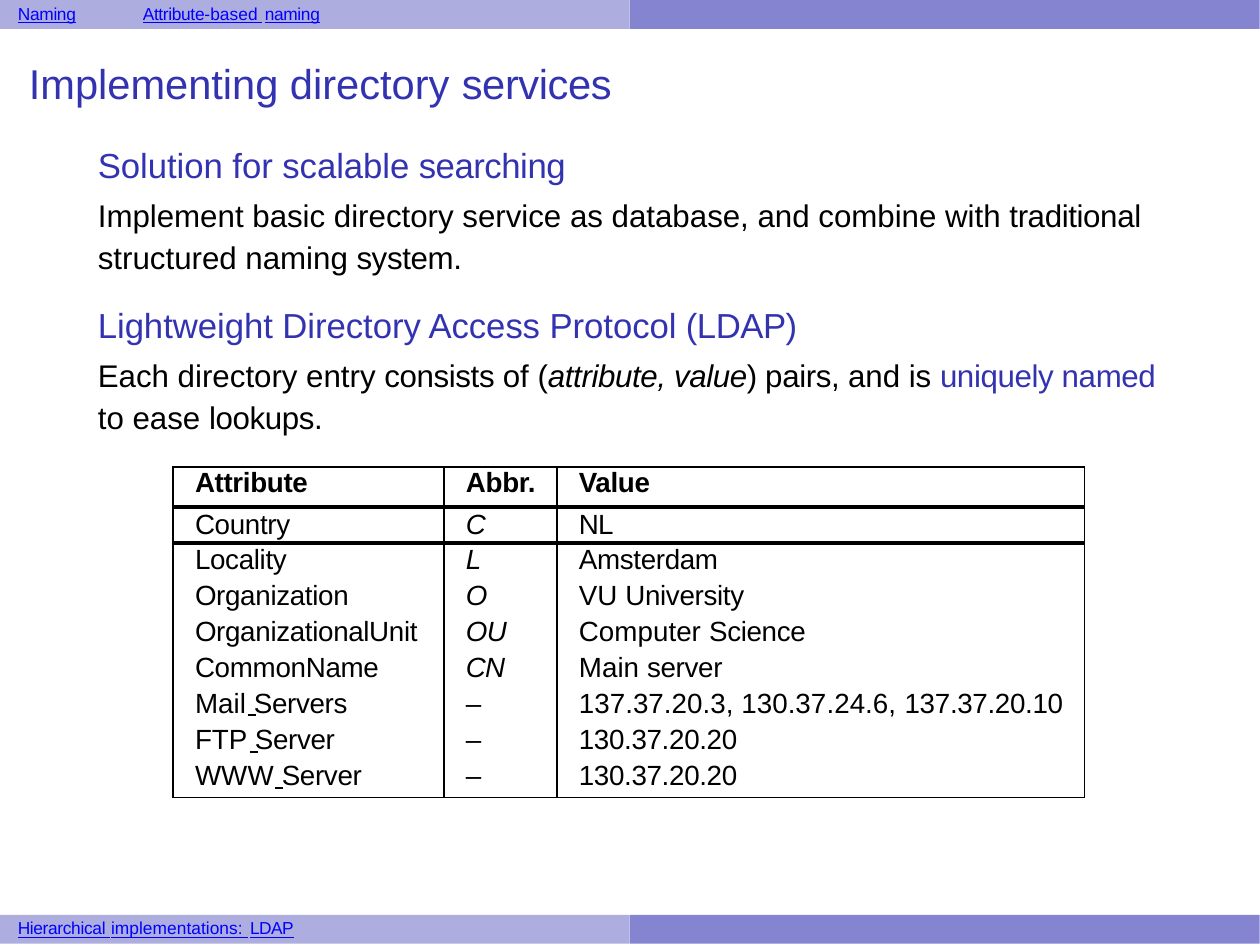
"""Build the slide on implementing directory services with LDAP."""
from dataclasses import dataclass

from lxml import etree
from pptx import Presentation
from pptx import util as u
from pptx.dml.color import RGBColor
from pptx.enum import shapes, text
from pptx.oxml import ns

PX = 914400 / 250
PAGE_WIDTH, PAGE_HEIGHT = u.Pt(363), u.Pt(272.5)
BAND_WIDTH, BAND_HEIGHT, FOOTER_TOP = 630, 29, 915
TIGHT, TIGHTER, LOOSE = -10, -20, 60


@dataclass(frozen=True)
class Theme:
    font: str = "Arial"
    ink: str = "000000"
    accent: str = "3333B2"
    link: str = "0000FF"
    light_band: str = "ADADE0"
    dark_band: str = "8484D1"
    title_size: int = 12
    heading_size: int = 10
    body_size: int = 9
    table_size: int = 8
    link_size: int = 5


THEME = Theme()


@dataclass(frozen=True)
class Span:
    text: str
    tracking: int = 0
    italic: bool = False
    color: str = THEME.ink


@dataclass(frozen=True)
class Block:
    spans: list[Span]
    size: int
    before: float = 0
    line: float = 1.0


@dataclass(frozen=True)
class Row:
    cells: tuple[str, str, str]
    height: int = 36
    line: float = 9.4
    top: float = 0
    bottom: float = 0
    header: bool = False


def px(length: int) -> u.Emu:
    return u.Emu(round(length * PX))


def tight_end(words: str, color: str = THEME.ink, italic: bool = False) -> list[Span]:
    """Split off the last word and set it slightly tighter."""
    head, gap, last = words.rpartition(" ")
    spans = [Span(head + gap, 0, italic, color)] if head else []
    tracking = TIGHTER if last.isupper() and len(last) == 2 else TIGHT
    return spans + [Span(last, tracking, italic, color)]


def add_span(para, words: str, *, size: float, color: str, bold: bool = False,
             italic: bool = False, underline: bool = False, tracking: int = 0) -> None:
    span = para.add_run()
    span.text = words
    font = span.font
    font.name, font.size = THEME.font, u.Pt(size)
    font.bold, font.italic, font.underline = bold, italic, underline
    font.color.rgb = RGBColor.from_string(color)
    if tracking:
        span._r.get_or_add_rPr().set("spc", str(tracking))


def format_para(para, *, margin: int = 3, before: float = 0, line=1.0, tab: int = 0,
                plain: bool = False) -> None:
    properties = para._p.get_or_add_pPr()
    properties.set("marL", str(px(margin)))
    properties.set("indent", "0")
    if plain:
        etree.SubElement(properties, ns.qn("a:buNone"))
    if tab:
        tabs = etree.SubElement(properties, ns.qn("a:tabLst"))
        etree.SubElement(tabs, ns.qn("a:tab"), pos=str(px(tab)), algn="l")
    para.alignment = text.PP_ALIGN.LEFT
    para.space_before, para.space_after = u.Pt(before), u.Pt(0)
    para.line_spacing = line


def place(box, left: int, top: int, width: int, height: int, inset: int):
    """Move a text shape, set its insets and return its text frame."""
    box.left, box.top, box.width, box.height = map(px, (left, top, width, height))
    frame = box.text_frame
    frame.word_wrap = True
    frame.auto_size = text.MSO_AUTO_SIZE.NONE
    frame.vertical_anchor = text.MSO_ANCHOR.TOP
    frame.margin_left = frame.margin_right = frame.margin_bottom = 0
    frame.margin_top = px(inset)
    return frame


def write_blocks(frame, blocks: list[Block]) -> None:
    for index, block in enumerate(blocks):
        para = frame.add_paragraph() if index else frame.paragraphs[0]
        format_para(para, before=block.before, line=block.line, plain=True)
        for span in block.spans:
            add_span(para, span.text, size=block.size, color=span.color,
                     italic=span.italic, tracking=span.tracking)


def add_band(page, left: int, top: int, color: str) -> None:
    band = page.shapes.add_shape(shapes.MSO_SHAPE.RECTANGLE, px(left), px(top),
                                 px(BAND_WIDTH), px(BAND_HEIGHT))
    band.shadow.inherit = False
    band.fill.solid()
    band.fill.fore_color.rgb = RGBColor.from_string(color)
    band.line.fill.background()


def add_links(page, top: int, width: int, spans: list[Span], tab: int = 0) -> None:
    box = page.shapes.add_textbox(0, 0, 0, 0)
    para = place(box, 15, top, width, 27, 3).paragraphs[0]
    format_para(para, tab=tab)
    for span in spans:
        is_link = span.text != "\t"
        add_span(para, span.text, size=THEME.link_size, underline=is_link,
                 color=THEME.link if is_link else THEME.ink, tracking=span.tracking)


def set_borders(cell, **widths: float) -> None:
    properties = cell._tc.get_or_add_tcPr()
    for side, width in widths.items():
        line = etree.SubElement(properties, ns.qn(f"a:ln{side}"), w=str(u.Pt(width)))
        if width:
            fill = etree.SubElement(line, ns.qn("a:solidFill"))
            etree.SubElement(fill, ns.qn("a:srgbClr"), val=THEME.ink)
        else:
            etree.SubElement(line, ns.qn("a:noFill"))


def add_entry_table(page, rows: list[Row], widths: tuple[int, ...]) -> None:
    table = page.shapes.add_table(len(rows), len(widths), px(173), px(467), px(sum(widths)),
                                  px(sum(row.height for row in rows))).table
    table.first_row = table.horz_banding = False
    for column, width in zip(table.columns, widths):
        column.width = px(width)
    for row_index, row in enumerate(rows):
        table.rows[row_index].height = px(row.height)
        for column_index, words in enumerate(row.cells):
            cell = table.cell(row_index, column_index)
            cell.margin_left = cell.margin_right = cell.margin_top = cell.margin_bottom = 0
            set_borders(cell, L=0.5, R=0.5, T=row.top, B=row.bottom)
            cell.fill.background()
            para = cell.text_frame.paragraphs[0]
            format_para(para, margin=22, line=u.Pt(row.line))
            italic = column_index == 1 and words.isalpha()
            for span in tight_end(words, italic=italic):
                add_span(para, span.text, size=THEME.table_size, color=span.color,
                         bold=row.header, italic=span.italic, tracking=span.tracking)


def add_underscore(page, left: int, top: int) -> None:
    line = page.shapes.add_connector(shapes.MSO_CONNECTOR.STRAIGHT, px(left), px(top),
                                     px(left + 8), px(top))
    line.line.width = u.Pt(0.4)
    line.line.color.rgb = RGBColor.from_string(THEME.ink)
    etree.SubElement(line._element.spPr, ns.qn("a:effectLst"))


HEADER = [Span("Naming", TIGHT), Span("\t"), Span("Attribute-", TIGHT), Span("based"),
          Span(" ", LOOSE), Span("naming", TIGHT)]
FOOTER = [Span("Hierarchical", TIGHT), Span(" ", 10), Span("implementations:"),
          Span(" ", LOOSE), Span("LDAP", TIGHTER)]
BODY = [
    Block(tight_end("Solution for scalable searching", THEME.accent), THEME.heading_size),
    Block([Span("Implement basic directory service as database, and combine with "),
           Span("traditional ", TIGHT), Span("structured naming "), Span("system.", TIGHT)],
          THEME.body_size, 1.8, 1.12),
    Block(tight_end("Lightweight Directory Access Protocol (LDAP)", THEME.accent),
          THEME.heading_size, 8),
    Block([Span("Each directory entry "), Span("consists ", TIGHT), Span("of "),
           Span("(", TIGHT), Span("attribute, value", TIGHT, italic=True),
           Span(") pairs, ", TIGHT), Span("and is "),
           Span("uniquely named ", TIGHT, color=THEME.accent),
           Span("to ease "), Span("lookups.", TIGHT)], THEME.body_size, 1.9, 1.12),
]
ENTRIES = [
    Row(("Attribute", "Abbr.", "Value"), 40, 9.1, 0.5, 1.5, header=True),
    Row(("Country", "C", "NL"), 36, 9.6, 1.5, 1.5),
    Row(("Locality", "L", "Amsterdam"), top=1.5),
    Row(("Organization", "O", "VU University")),
    Row(("OrganizationalUnit", "OU", "Computer Science")),
    Row(("CommonName", "CN", "Main server")),
    Row(("Mail Servers", "–", "137.37.20.3, 130.37.24.6, 137.37.20.10")),
    Row(("FTP Server", "–", "130.37.20.20")),
    Row(("WWW Server", "–", "130.37.20.20"), 39, bottom=0.5),
]


def main() -> None:
    deck = Presentation()
    deck.slide_width, deck.slide_height = PAGE_WIDTH, PAGE_HEIGHT
    page = deck.slides.add_slide(deck.slide_layouts[1])
    for top in (0, FOOTER_TOP):
        add_band(page, 0, top, THEME.light_band)
        add_band(page, BAND_WIDTH, top, THEME.dark_band)
    add_links(page, 0, 1230, HEADER, tab=1048)
    add_links(page, FOOTER_TOP, 285, FOOTER)
    title = place(page.shapes.title, 26, 55, 1110, 58, 3)
    write_blocks(title, [Block(tight_end("Implementing directory services", THEME.accent),
                               THEME.title_size)])
    write_blocks(place(page.placeholders[1], 95, 127, 1072, 310, 17), BODY)
    add_entry_table(page, ENTRIES, (271, 113, 528))
    for left, top in ((248, 715), (250, 752), (275, 788)):
        add_underscore(page, left, top)
    deck.save("out.pptx")


if __name__ == "__main__":
    main()
